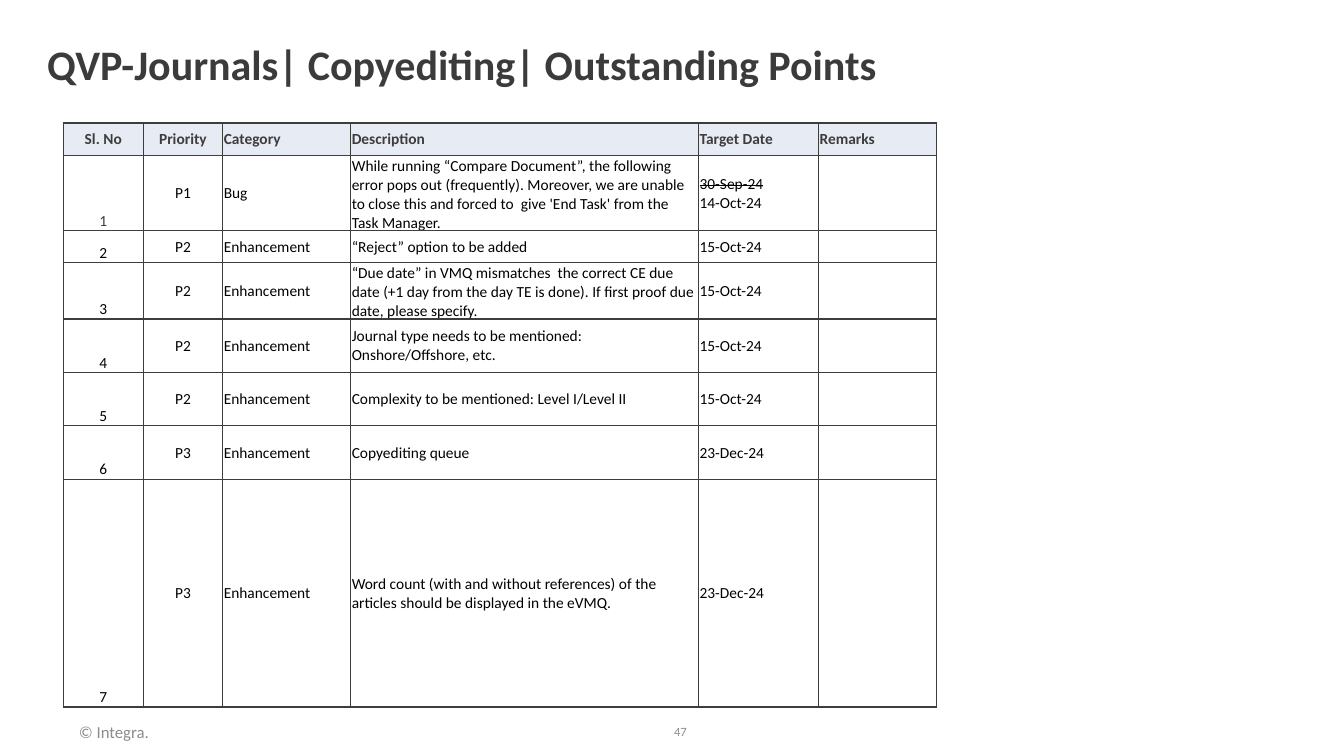
from lxml import etree
from pptx import Presentation
from pptx.dml.color import RGBColor
from pptx.enum.text import MSO_ANCHOR, PP_ALIGN
from pptx.oxml.ns import qn
from pptx.util import Inches, Pt

LEFT, CENTER, RIGHT = PP_ALIGN.LEFT, PP_ALIGN.CENTER, PP_ALIGN.RIGHT
MIDDLE, BOTTOM = MSO_ANCHOR.MIDDLE, MSO_ANCHOR.BOTTOM
FONT = "Calibri"
DARK, BLACK, WHITE, HEADER_FILL = "3D3D3D", "000000", "FFFFFF", "E7EBF4"

TITLE = "QVP-Journals| Copyediting| Outstanding Points"
COPYRIGHT = "© Integra."
PAGE_NUMBER = "47"
HEADERS = ["Sl. No", "Priority", "Category", "Description", "Target Date", "Remarks"]
POINTS = [
    ("P1", "Bug", "While running “Compare Document”, the following error pops out "
     "(frequently). Moreover, we are unable to close this and forced to  give "
     "'End Task' from the Task Manager.", ["30-Sep-24", "14-Oct-24"]),
    ("P2", "Enhancement", "“Reject” option to be added", ["15-Oct-24"]),
    ("P2", "Enhancement", "“Due date” in VMQ mismatches  the correct CE due date "
     "(+1 day from the day TE is done). If first proof due date, please specify.",
     ["15-Oct-24"]),
    ("P2", "Enhancement", "Journal type needs to be mentioned: Onshore/Offshore, etc.",
     ["15-Oct-24"]),
    ("P2", "Enhancement", "Complexity to be mentioned: Level I/Level II", ["15-Oct-24"]),
    ("P3", "Enhancement", "Copyediting queue", ["23-Dec-24"]),
    ("P3", "Enhancement", "Word count (with and without references) of the articles "
     "should be displayed in the eVMQ.", ["23-Dec-24"]),
]
COLUMN_WIDTHS = [0.79, 0.79, 1.27, 3.45, 1.19, 1.17]
ROW_HEIGHTS = [0.32] * 4 + [0.53] * 3 + [2.26]


def color(value):
    return RGBColor.from_string(value)


def add_text(para, text, size, ink, bold=False, align=LEFT):
    para.alignment = align
    span = para.add_run()
    span.text = text
    span.font.name = FONT
    span.font.size = Pt(size)
    span.font.bold = bold
    span.font.color.rgb = color(ink)
    return span


def add_box(page, place, text, size, ink, bold=False, align=LEFT):
    box = page.shapes.add_textbox(*map(Inches, place))
    frame = box.text_frame
    frame.word_wrap = True
    frame.vertical_anchor = MIDDLE
    add_text(frame.paragraphs[0], text, size, ink, bold, align)
    return frame.paragraphs[0]


def add_borders(cell):
    properties = cell._tc.get_or_add_tcPr()
    for index, side in enumerate(("a:lnL", "a:lnR", "a:lnT", "a:lnB")):
        line = etree.Element(qn(side), w=str(Pt(1)))
        fill = etree.SubElement(line, qn("a:solidFill"))
        etree.SubElement(fill, qn("a:srgbClr"), val=DARK)
        properties.insert(index, line)


def fill_cell(cell, lines, column, is_header):
    cell.margin_left = cell.margin_right = cell.margin_top = Inches(0.01)
    cell.margin_bottom = 0
    cell.vertical_anchor = BOTTOM if column == 0 and not is_header else MIDDLE
    cell.fill.solid()
    cell.fill.fore_color.rgb = color(HEADER_FILL if is_header else WHITE)
    add_borders(cell)
    align = CENTER if column < 2 else LEFT
    ink = DARK if is_header or lines == ["1"] else BLACK
    frame = cell.text_frame
    for index, text in enumerate(lines):
        para = frame.add_paragraph() if index else frame.paragraphs[0]
        span = add_text(para, text, 11, ink, is_header, align)
        if index < len(lines) - 1:
            span.font._element.set("strike", "sngStrike")


def add_points_table(page):
    rows = [[[name] for name in HEADERS]]
    for number, (priority, category, description, dates) in enumerate(POINTS, 1):
        rows.append([[str(number)], [priority], [category], [description], dates, []])
    table = page.shapes.add_table(
        len(rows), len(HEADERS), Inches(0.63), Inches(1.22),
        Inches(sum(COLUMN_WIDTHS)), Inches(sum(ROW_HEIGHTS))).table
    table.first_row = table.horz_banding = False
    for column, width in zip(table.columns, COLUMN_WIDTHS):
        column.width = Inches(width)
    for index, (row, height) in enumerate(zip(rows, ROW_HEIGHTS)):
        table.rows[index].height = Inches(height)
        for column, lines in enumerate(row):
            fill_cell(table.cell(index, column), lines, column, index == 0)


def main():
    deck = Presentation()
    deck.slide_width, deck.slide_height = Inches(13.33), Inches(7.5)
    page = deck.slides.add_slide(deck.slide_layouts[6])
    title = add_box(page, (0.37, 0.26, 11.5, 0.81), TITLE, 30, "3B3B3B", bold=True)
    title.line_spacing = 0.9
    add_box(page, (0.55, 7.06, 1.16, 0.4), COPYRIGHT, 12, "8C8C8C", align=CENTER)
    add_box(page, (6.43, 7.06, 0.48, 0.4), PAGE_NUMBER, 9, "8D8E8E", align=RIGHT)
    add_points_table(page)
    deck.save("out.pptx")


if __name__ == "__main__":
    main()
